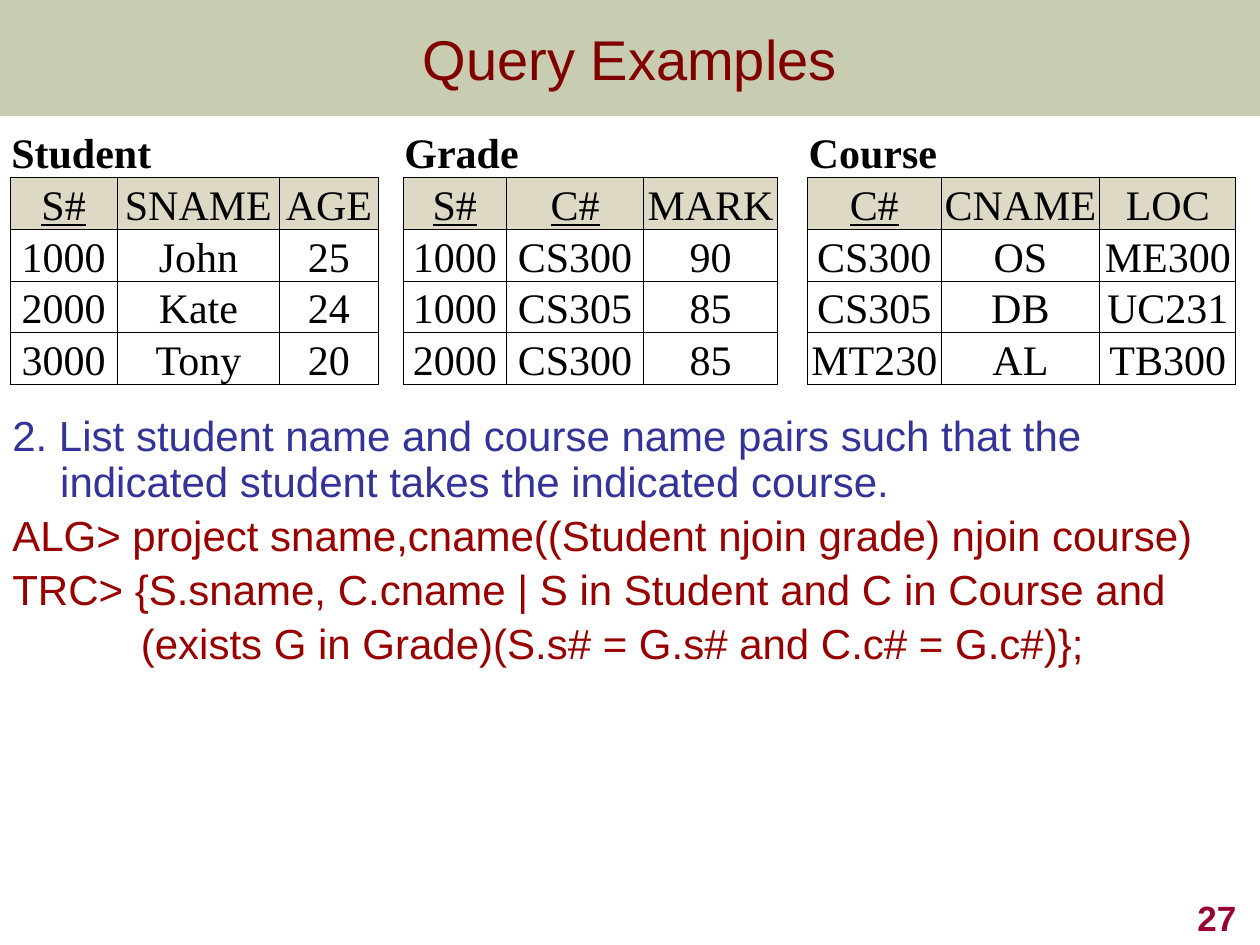
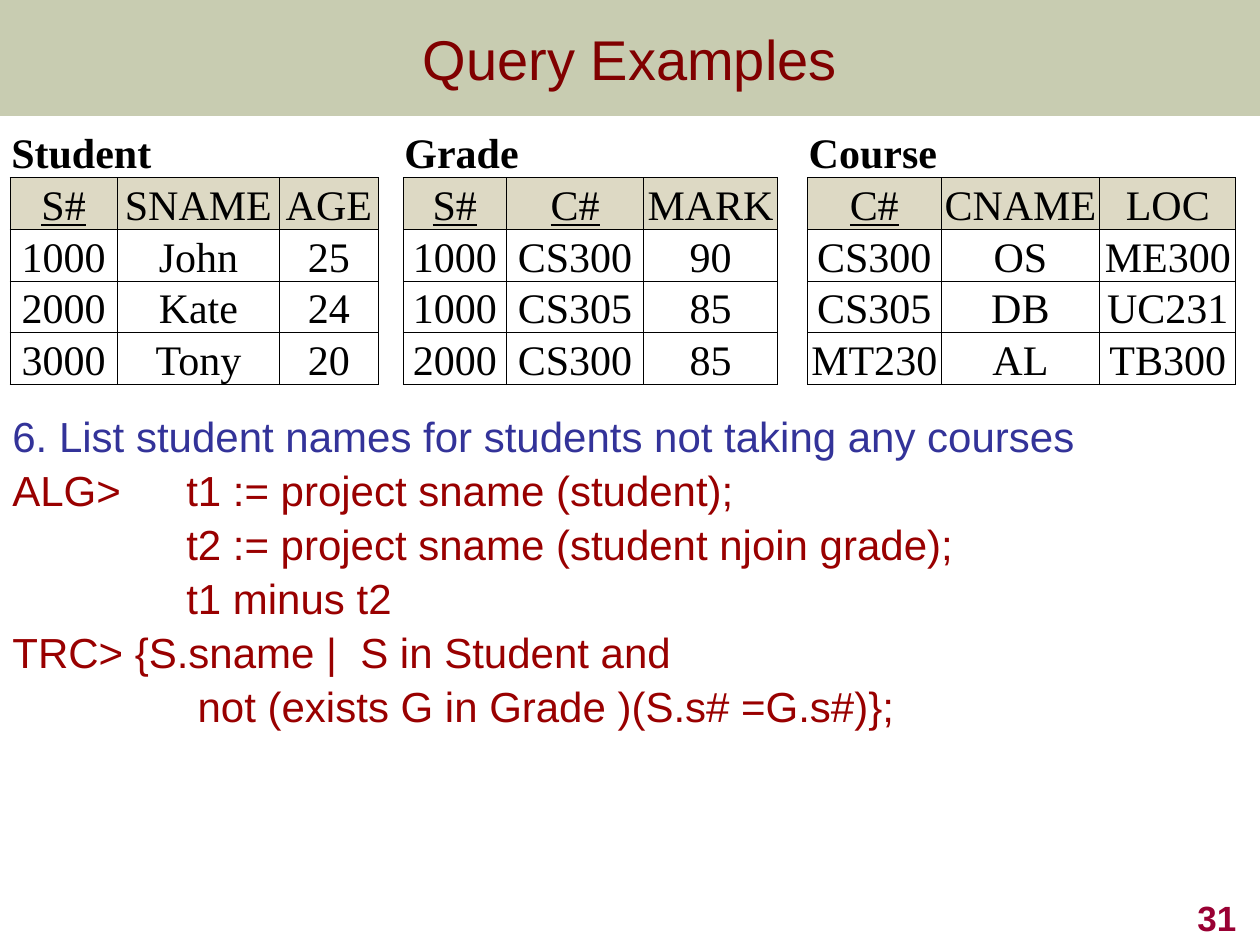
"""Two slides of relational query examples with their sample tables."""
from lxml import etree
from pptx import Presentation
from pptx import util as u
from pptx.dml.color import RGBColor
from pptx.enum import shapes, text
from pptx.oxml.ns import qn

COLORS = {
    "band": "677228", "title": "800000", "question": "333399",
    "answer": "990000", "number": "990033", "header": "DDD9C4",
    "white": "FFFFFF", "black": "000000",
}
SANS, SERIF = "Arial", "Times New Roman"
BAND_HEIGHT = 0.92
HANG = 0.38        # hanging indent of the query text
QUERY_INDENT = 1.38  # first tab stop after the hanging indent
ROW_HEIGHT = 0.38

# Relations: name, column widths, key columns, then heading and data rows
RELATIONS = [
    ("Student", (0.85, 1.29, 0.78), {"S#"},
     [("S#", "SNAME", "AGE"), ("1000", "John", "25"),
      ("2000", "Kate", "24"), ("3000", "Tony", "20")]),
    ("Grade", (0.82, 1.09, 1.06), {"S#", "C#"},
     [("S#", "C#", "MARK"), ("1000", "CS300", "90"),
      ("1000", "CS305", "85"), ("2000", "CS300", "85")]),
    ("Course", (1.06, 1.26, 1.08), {"C#"},
     [("C#", "CNAME", "LOC"), ("CS300", "OS", "ME300"),
      ("CS305", "DB", "UC231"), ("MT230", "AL", "TB300")]),
]
GAPS = (0.2, 0.24)

# Slides: number, body size, question, then (answer line, left indent)
SLIDES = [
    (27, (9.63, 2.67),
     "2. List student name and course name pairs such that the "
     "indicated student takes the indicated course.",
     [("ALG> project sname,cname((Student njoin grade) njoin course)", 0),
      ("TRC> {S.sname, C.cname | S in Student and C in Course and", 0),
      ("(exists G in Grade)(S.s# = G.s# and C.c# = G.c#)};", 1.02)]),
    (31, (9.25, 3.58),
     "6. List student names for students not taking any courses",
     [("ALG> \tt1 := project sname (student);", 0),
      ("t2 := project sname (student njoin grade);", QUERY_INDENT),
      ("t1 minus t2", QUERY_INDENT),
      ("TRC> {S.sname |  S in Student and", 0),
      ("not (exists G in Grade )(S.s# =G.s#)};", QUERY_INDENT + 0.09)]),
]


def rgb(name):
    """Return the named colour."""
    return RGBColor.from_string(COLORS[name])


def write(paragraph, words, size=24, font=SANS, color="black", bold=False,
          underline=False, align=text.PP_ALIGN.LEFT):
    """Put formatted text into a paragraph."""
    paragraph.alignment = align
    run = paragraph.add_run()
    run.text = words
    run.font.size = u.Pt(size)
    run.font.name = font
    run.font.bold = bold
    run.font.underline = underline
    run.font.color.rgb = rgb(color)


def add_text_box(slide, left, top, width, height,
                 anchor=text.MSO_ANCHOR.TOP):
    """Add a wrapping text box and return its text frame."""
    shape = slide.shapes.add_textbox(
        u.Inches(left), u.Inches(top), u.Inches(width), u.Inches(height))
    frame = shape.text_frame
    frame.word_wrap = True
    frame.vertical_anchor = anchor
    return frame


def add_title(slide, words):
    """Add the translucent band and the centred title on it."""
    band = slide.shapes.add_shape(
        shapes.MSO_SHAPE.RECTANGLE, 0, 0, u.Inches(10), u.Inches(BAND_HEIGHT))
    band.shadow.inherit = False
    band.line.fill.background()
    band.fill.solid()
    band.fill.fore_color.rgb = rgb("band")
    color = band.fill._xPr.find(".//" + qn("a:srgbClr"))
    etree.SubElement(color, qn("a:alpha"), val="36000")
    frame = add_text_box(slide, 0, 0, 10, BAND_HEIGHT, text.MSO_ANCHOR.MIDDLE)
    write(frame.paragraphs[0], words, size=32, color="title",
          align=text.PP_ALIGN.CENTER)


def add_query(slide, size, question, answers):
    """Add the question and the lines of its answers."""
    frame = add_text_box(slide, 0, 3.25, *size)
    frame.margin_right = 0
    lines = [(question, 0, "question")]
    lines += [(words, indent, "answer") for words, indent in answers]
    for index, (words, indent, color) in enumerate(lines):
        paragraph = frame.add_paragraph() if index else frame.paragraphs[0]
        paragraph.line_spacing = 0.9
        paragraph.space_before = u.Pt(5)
        write(paragraph, words, color=color)
        properties = paragraph._p.get_or_add_pPr()
        properties.set("marL", str(u.Inches(indent or HANG)))
        properties.set("indent", str(0 if indent else -u.Inches(HANG)))


def add_number(slide, number):
    """Add the slide number at the bottom right."""
    frame = add_text_box(slide, 7.83, 7, 2.08, 0.5, text.MSO_ANCHOR.BOTTOM)
    write(frame.paragraphs[0], str(number), size=20, color="number",
          bold=True, align=text.PP_ALIGN.RIGHT)


def style_cell(cell, sides, fill="white"):
    """Give a cell thin borders on the given sides, a fill and margins."""
    properties = cell._tc.get_or_add_tcPr()
    for side in "LRTB":
        line = etree.SubElement(properties, qn("a:ln" + side),
                                w=str(u.Pt(0.5)))
        if side in sides:
            solid = etree.SubElement(line, qn("a:solidFill"))
            etree.SubElement(solid, qn("a:srgbClr"), val=COLORS["black"])
        else:
            etree.SubElement(line, qn("a:noFill"))
    cell.fill.solid()
    cell.fill.fore_color.rgb = rgb(fill)
    cell.vertical_anchor = text.MSO_ANCHOR.BOTTOM
    cell.margin_left = cell.margin_right = cell.margin_top = u.Inches(0.01)
    cell.margin_bottom = 0


def fill_relation(table, first, name, keys, rows):
    """Write one named relation into the table from column first on."""
    last = first + len(rows[0]) - 1
    for column in range(first, last + 1):
        style_cell(table.cell(0, column), "B")
    label = table.cell(0, first)
    label.merge(table.cell(0, last))
    write(label.text_frame.paragraphs[0], name, font=SERIF, bold=True)
    for row, values in enumerate(rows, 1):
        for column, value in enumerate(values, first):
            cell = table.cell(row, column)
            style_cell(cell, "LRTB", "header" if row == 1 else "white")
            write(cell.text_frame.paragraphs[0], value, font=SERIF,
                  underline=row == 1 and value in keys,
                  align=text.PP_ALIGN.CENTER)


def add_relations(slide):
    """Add the table that holds the relations, parted by narrow gaps."""
    widths = list(RELATIONS[0][1])
    for gap, relation in zip(GAPS, RELATIONS[1:]):
        widths += [gap, *relation[1]]
    row_count = len(RELATIONS[0][3]) + 1
    table = slide.shapes.add_table(
        row_count, len(widths), u.Inches(0.08), u.Inches(1),
        u.Inches(sum(widths)), u.Inches(row_count * ROW_HEIGHT)).table
    table.first_row = table.horz_banding = False
    for column, width in zip(table.columns, widths):
        column.width = u.Inches(width)
    for row in table.rows:
        row.height = u.Inches(ROW_HEIGHT)
    first = 0
    for name, columns, keys, rows in RELATIONS:
        if first:
            for row in range(row_count):
                style_cell(table.cell(row, first - 1), "LR" if row else "")
        fill_relation(table, first, name, keys, rows)
        first += len(columns) + 1


def main():
    """Build and save the presentation."""
    presentation = Presentation()
    presentation.slide_width = u.Inches(10)
    presentation.slide_height = u.Inches(7.5)
    for number, size, question, answers in SLIDES:
        slide = presentation.slides.add_slide(presentation.slide_layouts[6])
        add_title(slide, "Query Examples")
        add_query(slide, size, question, answers)
        add_number(slide, number)
        add_relations(slide)
    presentation.save("out.pptx")


main()
